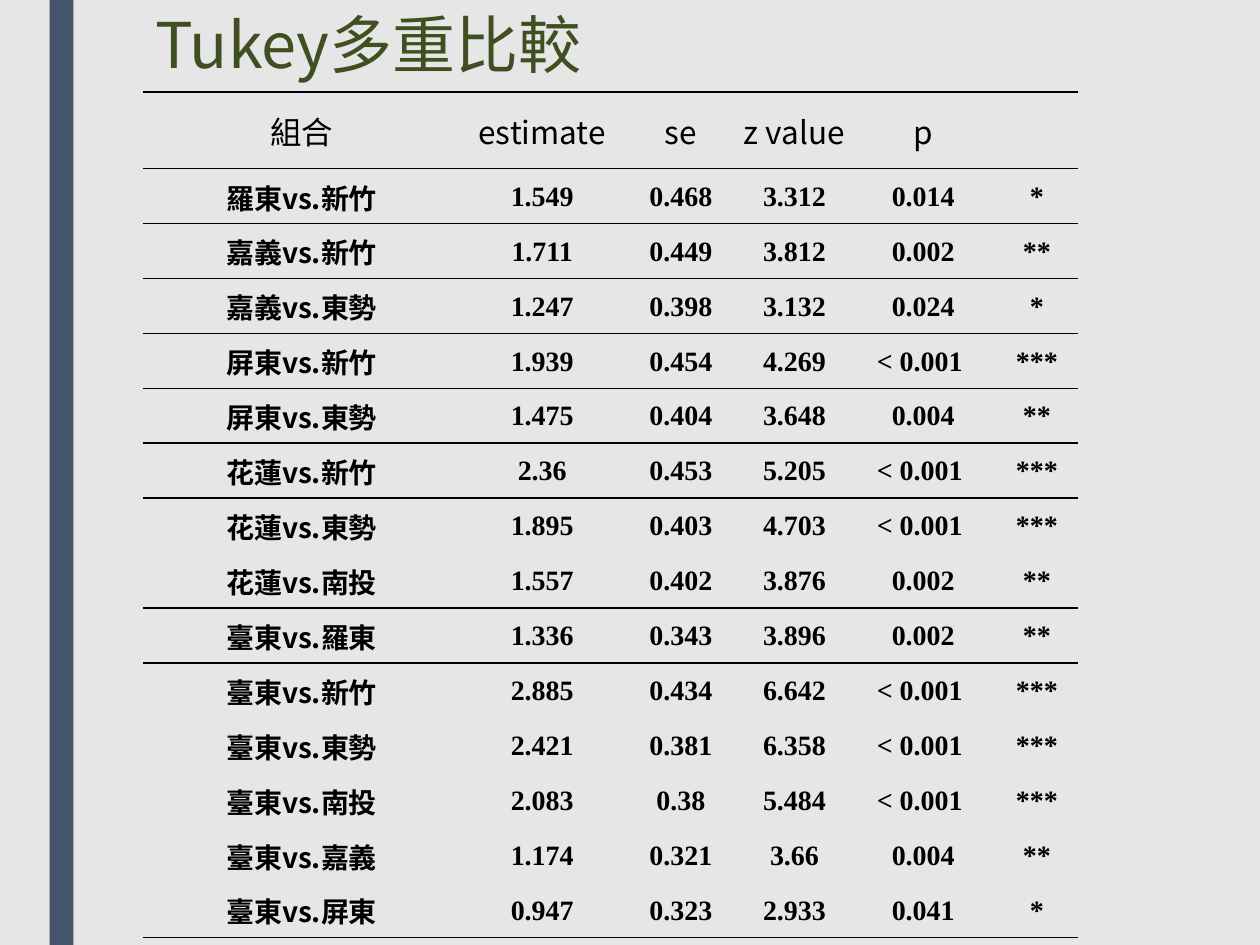
"""Build a slide with the table of Tukey multiple comparisons."""
from dataclasses import dataclass

from lxml.etree import SubElement
from pptx import Presentation
from pptx.dml.color import RGBColor
from pptx.enum.shapes import MSO_SHAPE
from pptx.enum.text import MSO_ANCHOR, MSO_AUTO_SIZE, PP_ALIGN
from pptx.oxml.ns import qn
from pptx.util import Cm, Pt

TITLE = "Tukey多重比較"
HEADER = ("組合", "estimate", "se", "z value", "p", "")
GROUPS = [
    [("羅東vs.新竹", "1.549", "0.468", "3.312", "0.014", "*")],
    [("嘉義vs.新竹", "1.711", "0.449", "3.812", "0.002", "**"),
     ("嘉義vs.東勢", "1.247", "0.398", "3.132", "0.024", "*")],
    [("屏東vs.新竹", "1.939", "0.454", "4.269", "< 0.001 ", "***"),
     ("屏東vs.東勢", "1.475", "0.404", "3.648", "0.004", "**")],
    [("花蓮vs.新竹", "2.36", "0.453", "5.205", "< 0.001 ", "***"),
     ("花蓮vs.東勢", "1.895", "0.403", "4.703", "< 0.001 ", "***"),
     ("花蓮vs.南投", "1.557", "0.402", "3.876", "0.002", "**")],
    [("臺東vs.羅東", "1.336", "0.343", "3.896", "0.002", "**"),
     ("臺東vs.新竹", "2.885", "0.434", "6.642", "< 0.001 ", "***"),
     ("臺東vs.東勢", "2.421", "0.381", "6.358", "< 0.001 ", "***"),
     ("臺東vs.南投", "2.083", "0.38", "5.484", "< 0.001 ", "***"),
     ("臺東vs.嘉義", "1.174", "0.321", "3.66", "0.004", "**"),
     ("臺東vs.屏東", "0.947", "0.323", "2.933", "0.041", "*")],
]
COL_WIDTHS = (6.4, 3.3, 2.29, 2.29, 2.9, 1.68)
LEFT, TOP, HEIGHT, HEADER_HEIGHT = 2.88, 1.85, 17.05, 1.55


@dataclass(frozen=True)
class Theme:
    """Colours, fonts and type sizes."""
    back: str = "E7E6E6"
    bar: str = "44546A"
    title: str = "404F21"
    ink: str = "000000"
    head_font: str = "Noto Sans CJK TC"
    pair_font: str = "Noto Sans CJK SC"
    number_font: str = "Times New Roman"
    title_size: int = 36
    head_size: int = 18
    body_size: int = 16
    rule: float = 1


THEME = Theme()


def write(tf, text, *, font, size, color=THEME.ink, bold=False, align=PP_ALIGN.CENTER):
    """Put one formatted run in the text frame and return its paragraph."""
    p = tf.paragraphs[0]
    p.alignment = align
    r = p.add_run()
    r.text = text
    r.font.name, r.font.size, r.font.bold = font, Pt(size), bold
    r.font.color.rgb = RGBColor.from_string(color)
    SubElement(r.font._element, qn("a:ea"), typeface=font)
    return p


def rule(cell, side):
    """Draw a border on one side of the cell."""
    tc_pr = cell._tc.get_or_add_tcPr()
    ln = SubElement(tc_pr, qn(f"a:ln{side}"), w=str(Pt(THEME.rule)))
    SubElement(SubElement(ln, qn("a:solidFill")), qn("a:srgbClr"), val=THEME.ink)


def add_title(s):
    """Place and format the title."""
    sp = s.shapes.title
    sp.left, sp.top, sp.width, sp.height = Cm(2.88), Cm(-0.58), Cm(21.36), Cm(3.12)
    tf = sp.text_frame
    tf.vertical_anchor, tf.auto_size = MSO_ANCHOR.MIDDLE, MSO_AUTO_SIZE.NONE
    p = write(tf, TITLE, font=THEME.head_font, size=THEME.title_size,
              color=THEME.title, align=PP_ALIGN.LEFT)
    p.line_spacing = 0.89


def add_bar(s, prs):
    """Draw the vertical bar at the left."""
    sp = s.shapes.add_shape(MSO_SHAPE.RECTANGLE, Cm(1), 0, Cm(0.48), prs.slide_height)
    sp.shadow.inherit = False
    sp.fill.solid()
    sp.fill.fore_color.rgb = RGBColor.from_string(THEME.bar)
    sp.line.fill.background()


def add_comparisons(s):
    """Add the table, with a rule under the header and each group."""
    rows, ruled = [HEADER], {0}
    for group in GROUPS:
        rows += group
        ruled.add(len(rows) - 1)
    frame = s.shapes.add_table(len(rows), len(HEADER), Cm(LEFT), Cm(TOP),
                               Cm(sum(COL_WIDTHS)), Cm(HEIGHT))
    table = frame.table
    table.first_row = table.horz_banding = False
    style = table._tbl.tblPr.find(qn("a:tableStyleId"))
    style.text = "{2D5ABB26-0587-4C30-8999-92F81FD0307C}"
    for col, width in zip(table.columns, COL_WIDTHS):
        col.width = Cm(width)
    row_height = (HEIGHT - HEADER_HEIGHT) / (len(rows) - 1)
    for i, values in enumerate(rows):
        table.rows[i].height = Cm(row_height if i else HEADER_HEIGHT)
        for j, text in enumerate(values):
            cell = table.cell(i, j)
            cell.vertical_anchor = MSO_ANCHOR.MIDDLE
            cell.margin_left = cell.margin_right = Cm(0.03)
            cell.margin_top, cell.margin_bottom = Cm(0.03 if i else 0), 0
            if i == 0 or i - 1 in ruled:
                rule(cell, "T")
            if i in ruled:
                rule(cell, "B")
            cell.fill.background()
            if not text:
                continue
            if i == 0:
                write(cell.text_frame, text, font=THEME.head_font, size=THEME.head_size)
            else:
                font = THEME.number_font if j else THEME.pair_font
                write(cell.text_frame, text, font=font, size=THEME.body_size, bold=True)


def main():
    """Build and save the slide."""
    prs = Presentation()
    prs.slide_width, prs.slide_height = Cm(25.4), Cm(19.05)
    s = prs.slides.add_slide(prs.slide_layouts[5])
    s.background.fill.solid()
    s.background.fill.fore_color.rgb = RGBColor.from_string(THEME.back)
    add_bar(s, prs)
    add_title(s)
    add_comparisons(s)
    prs.save("out.pptx")


if __name__ == "__main__":
    main()
